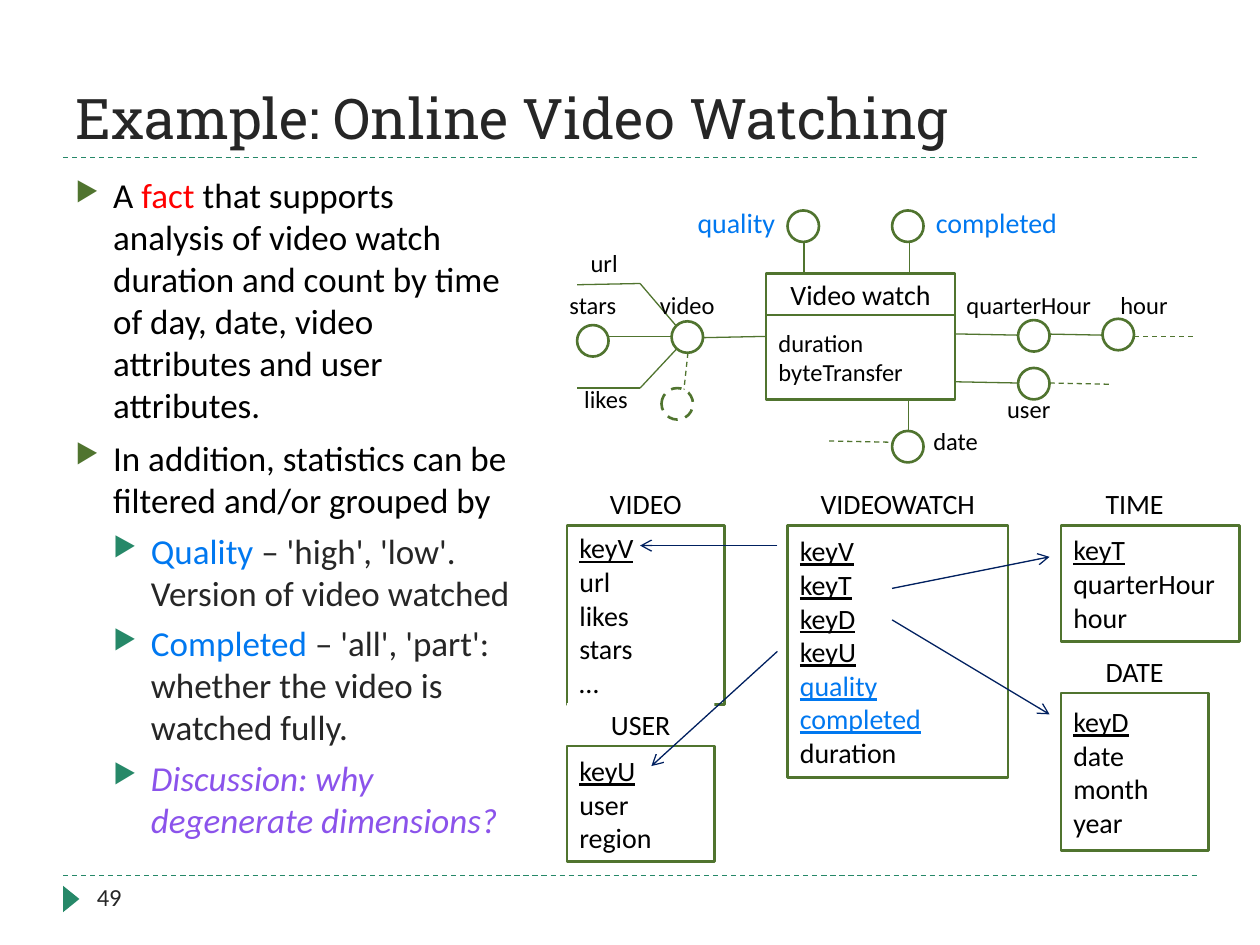
from dataclasses import dataclass

from pptx import Presentation
from pptx import util as u
from pptx.dml.color import RGBColor
from pptx.enum import dml, shapes, text
from pptx.oxml.ns import qn
from lxml import etree


@dataclass(frozen=True)
class Theme:
    """Colours, fonts and type sizes of the slide."""
    green: str = "50742F"
    teal: str = "268868"
    navy: str = "002060"
    blue: str = "0078F0"
    red: str = "FF0000"
    purple: str = "8B53EB"
    black: str = "000000"
    gray: str = "262626"
    white: str = "FFFFFF"
    heading: str = "Roboto Slab"
    sans: str = "Calibri"
    title: int = 32
    body: int = 20
    table: int = 16
    label: int = 14


T = Theme()
LEFT, CENTER, RIGHT = text.PP_ALIGN.LEFT, text.PP_ALIGN.CENTER, text.PP_ALIGN.RIGHT
CIRCLE = 0.25

BULLETS = [
    (0, [("A ", T.black), ("fact", T.red),
         (" that supports analysis of video watch duration and count by time of day, "
          "date, video attributes and user attributes.", T.black)]),
    (0, [("In addition, statistics can be filtered and/or grouped by", T.black)]),
    (1, [("Quality", T.blue), (" – 'high', 'low'. Version of video watched", T.gray)]),
    (1, [("Completed", T.blue), (" – 'all', 'part': whether the video is watched fully.", T.gray)]),
    (1, [("Discussion: why degenerate dimensions?", T.purple)]),
]
SOLID_LINKS = [
    (8.25, 2.65, 8.75, 2.66), (7.58, 2.65, 8.08, 2.66), (5.58, 2.68, 6.08, 2.67),
    (6.38, 1.92, 6.38, 2.33), (7.22, 1.92, 7.22, 2.33), (7.58, 3.03, 8.08, 3.04),
    (4.83, 2.67, 5.33, 2.67), (5.08, 3.08, 5.37, 2.77), (5.08, 2.25, 5.37, 2.59),
    (4.58, 2.26, 5.08, 2.25), (4.58, 3.08, 5.08, 3.08), (7.21, 3.17, 7.21, 3.42),
]
DASHED_LINKS = [
    (9, 2.67, 9.5, 2.67), (8.33, 3.04, 8.83, 3.05),
    (5.46, 2.8, 5.42, 3.17), (6.58, 3.5, 7.08, 3.51),
]
CIRCLES = [(8.08, 2.54), (4.58, 2.58), (6.25, 1.67), (5.33, 2.55),
           (7.08, 1.67), (8.08, 2.92), (8.75, 2.53), (7.08, 3.42)]
LABELS = [
    ("video", 5.08, 2.25, 0.75, CENTER), ("quarterHour", 7.5, 2.25, 1.33, CENTER),
    ("likes", 4.5, 3, 0.58, RIGHT), ("stars", 4.33, 2.25, 0.75, CENTER),
    ("hour", 8.58, 2.25, 1, CENTER), ("url", 4.42, 1.92, 0.75, CENTER),
    ("user", 7.83, 3.08, 0.67, CENTER), ("date", 7.25, 3.33, 0.67, CENTER),
]
TABLES = [
    ("VIDEO", 4.5, 4.17, 1.25, 1.42, 1.25, ["keyV", "url", "likes", "stars", "…"]),
    ("VIDEOWATCH", 6.25, 4.17, 1.75, 2, 1.75,
     ["keyV", "keyT", "keyD", "keyU", "quality", "completed", "duration"]),
    ("TIME", 8.42, 4.17, 1.42, 0.92, 1.17, ["keyT", "quarterHour", "hour"]),
    ("DATE", 8.42, 5.5, 1.17, 1.25, 1.17, ["keyD", "date", "month", "year"]),
    ("USER", 4.5, 5.92, 1.17, 0.92, 1.17, ["keyU", "user", "region"]),
]
KEY_ARROWS = [(7.08, 4.67, 8.33, 4.42), (6.17, 4.33, 5.08, 4.33),
              (7.08, 4.92, 8.33, 5.67), (6.17, 5.17, 5.17, 6.08)]


def inches(*lengths):
    """Convert plain numbers to lengths."""
    return [u.Inches(length) for length in lengths]


def style(font, size, color, name=T.sans):
    """Set the face, size and colour of a font."""
    font.name, font.size = name, u.Pt(size)
    font.color.rgb = RGBColor.from_string(color)


def add_line(slide, ends, color=T.green, dashed=False, arrow=False):
    """Draw a thin straight line, optionally dashed or with an arrowhead."""
    link = slide.shapes.add_connector(shapes.MSO_CONNECTOR.STRAIGHT, *inches(*ends))
    link.line.color.rgb = RGBColor.from_string(color)
    link.line.width = u.Pt(0.75)
    if dashed:
        link.line.dash_style = dml.MSO_LINE.DASH
    if arrow:
        etree.SubElement(link.line._get_or_add_ln(), qn("a:tailEnd"), type="arrow")
    etree.SubElement(link._element.spPr, qn("a:effectLst"))


def add_figure(slide, kind, box, fill=T.white, outline=T.green):
    """Add a flat preset shape."""
    figure = slide.shapes.add_shape(kind, *inches(*box))
    figure.shadow.inherit = False
    figure.fill.solid()
    figure.fill.fore_color.rgb = RGBColor.from_string(fill)
    if outline:
        figure.line.color.rgb = RGBColor.from_string(outline)
        figure.line.width = u.Pt(1.5)
    else:
        figure.line.fill.background()
    return figure


def add_box(slide, box, lines, size, align=LEFT, outline=T.green):
    """Add a rectangle holding one paragraph per line and return the paragraphs."""
    frame = add_figure(slide, shapes.MSO_SHAPE.RECTANGLE, box, outline=outline).text_frame
    frame.word_wrap = True
    frame.vertical_anchor = text.MSO_ANCHOR.MIDDLE
    frame.text = "\n".join(lines)
    for line in frame.paragraphs:
        line.alignment = align
        style(line.font, size, T.black)
    return frame.paragraphs


def add_label(slide, wording, box, align=CENTER, size=T.label, color=T.black):
    """Add a one-line text label."""
    frame = slide.shapes.add_textbox(*inches(*box)).text_frame
    frame.word_wrap = True
    frame.text = wording
    frame.paragraphs[0].alignment = align
    style(frame.paragraphs[0].font, size, color)


def add_circle(slide, left, top):
    """Add an attribute circle."""
    return add_figure(slide, shapes.MSO_SHAPE.OVAL, (left, top, CIRCLE, CIRCLE))


def add_table_box(slide, name, left, top, width, height, caption_width, fields):
    """Add a relational table with its caption, underlining the key fields."""
    add_box(slide, (left, top - 0.34, caption_width, 0.33), [name], T.table, CENTER, None)
    for line in add_box(slide, (left, top, width, height), fields, T.table):
        degenerate = line.text in ("quality", "completed")
        line.font.underline = degenerate or line.text.startswith("key")
        if degenerate:
            style(line.font, T.table, T.blue)


def add_bullet(paragraph, level):
    """Give a paragraph its triangle bullet and hanging indent."""
    props = paragraph._p.get_or_add_pPr()
    props.set("marL", str(u.Inches(0.3 * (level + 1))))
    props.set("indent", str(u.Inches(-0.3)))
    color = etree.SubElement(props, qn("a:buClr"))
    etree.SubElement(color, qn("a:srgbClr"), val=T.teal if level else T.green)
    etree.SubElement(props, qn("a:buSzPct"), val="76000")
    etree.SubElement(props, qn("a:buChar"), char="▶")


def add_body(slide):
    """Add the bulleted explanation on the left."""
    frame = slide.shapes.add_textbox(*inches(0.5, 1.33, 3.67, 5.4)).text_frame
    frame.word_wrap = True
    for index, (level, pieces) in enumerate(BULLETS):
        point = frame.add_paragraph() if index else frame.paragraphs[0]
        point.level = level
        add_bullet(point, level)
        if index:
            point.space_before = u.Pt(5 if level else 6)
        for wording, color in pieces:
            run = point.add_run()
            run.text = wording
            style(run.font, T.body, color)
            run.font.italic = color == T.purple


def add_title(slide):
    """Fill and place the title."""
    title = slide.shapes.title
    title.left, title.top, title.width, title.height = inches(0.5, 0.17, 9, 1.08)
    frame = title.text_frame
    frame.text = "Example: Online Video Watching"
    frame.auto_size = text.MSO_AUTO_SIZE.NONE
    frame.vertical_anchor = text.MSO_ANCHOR.BOTTOM
    frame.paragraphs[0].alignment = LEFT
    style(frame.paragraphs[0].font, T.title, T.gray, T.heading)


def add_footer(slide):
    """Add the two dashed rules, the page marker and the page number."""
    for height in (1.25, 6.95):
        add_line(slide, (0.5, height, 9.5, height), T.teal, dashed=True)
    marker = add_figure(slide, shapes.MSO_SHAPE.ISOSCELES_TRIANGLE,
                        (0.46, 7.07, 0.21, 0.13), T.teal, None)
    marker.rotation = 90
    add_label(slide, "49", (0.67, 6.95, 2.17, 0.4), LEFT, color=T.gray)


def add_fact_schema(slide):
    """Draw the fact with its dimensions and attributes."""
    for ends in SOLID_LINKS:
        add_line(slide, ends)
    for ends in DASHED_LINKS:
        add_line(slide, ends, dashed=True)
    for place in CIRCLES:
        add_circle(slide, *place)
    add_circle(slide, 5.25, 3.08).line.dash_style = dml.MSO_LINE.DASH
    add_box(slide, (6.08, 2.5, 1.5, 0.67), ["duration", "byteTransfer"], T.label)
    add_box(slide, (6.08, 2.17, 1.5, 0.33), ["Video watch"], T.table, CENTER)
    for wording, left, top, width, align in LABELS:
        add_label(slide, wording, (left, top, width, 0.34), align)
    add_label(slide, "quality", (5.08, 1.58, 1.17, 0.37), RIGHT, T.table, T.blue)
    add_label(slide, "completed", (7.33, 1.58, 1.33, 0.37), LEFT, T.table, T.blue)


def main():
    """Build and save the slide."""
    deck = Presentation()
    deck.slide_width, deck.slide_height = inches(10, 7.5)
    slide = deck.slides.add_slide(deck.slide_layouts.get_by_name("Title Only"))
    add_footer(slide)
    add_title(slide)
    add_body(slide)
    add_fact_schema(slide)
    for table in TABLES:
        add_table_box(slide, *table)
    for ends in KEY_ARROWS:
        add_line(slide, ends, T.navy, arrow=True)
    deck.save("out.pptx")


if __name__ == "__main__":
    main()
